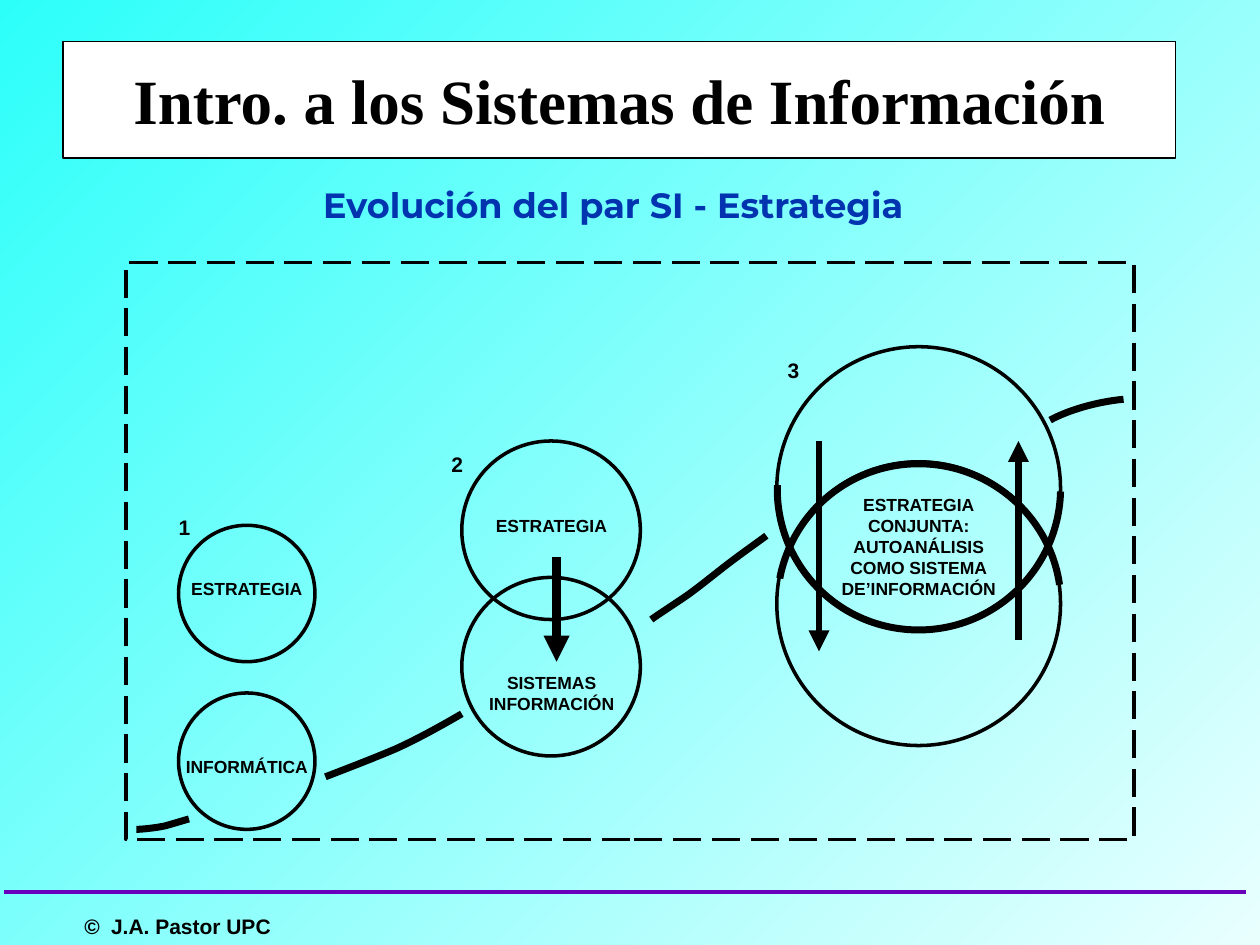
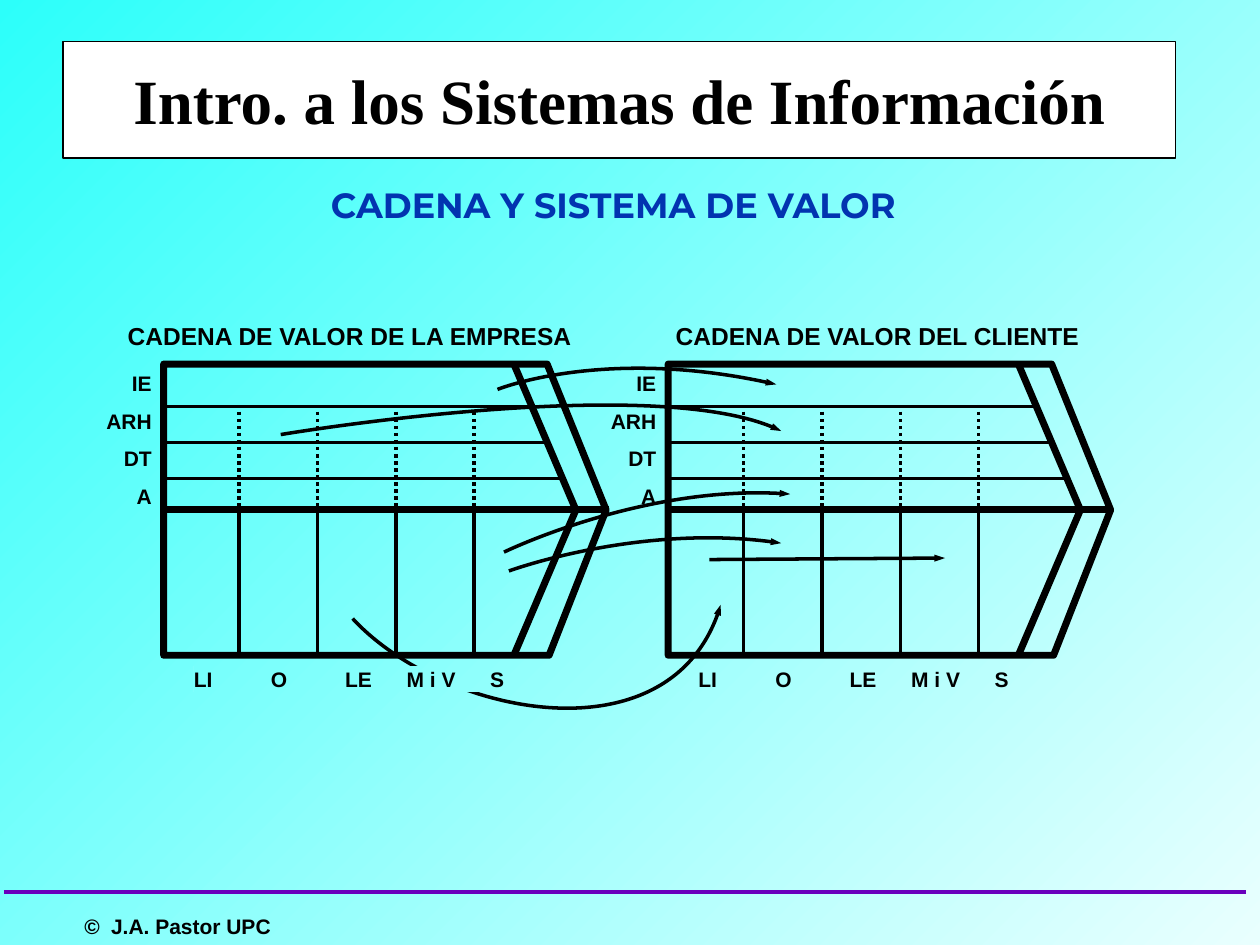
from lxml.etree import SubElement
from pptx import Presentation
from pptx.dml.color import RGBColor
from pptx.enum.dml import MSO_LINE
from pptx.enum.shapes import MSO_CONNECTOR, MSO_SHAPE
from pptx.enum.text import MSO_ANCHOR, PP_ALIGN
from pptx.oxml.ns import qn
from pptx.util import Cm, Pt

BLACK, WHITE, BLUE, PURPLE = "000000", "FFFFFF", "0234B0", "6900BC"
PALE, CYAN = "E9FFFE", "2CFFFA"
LEFT, CENTER, RIGHT = PP_ALIGN.LEFT, PP_ALIGN.CENTER, PP_ALIGN.RIGHT


def color(hex_code):
    return RGBColor.from_string(hex_code)


def style_line(shape, width, hex_code=BLACK, dash=None, arrow=None):
    """Set the outline; arrow is the width of the end's head: sm or med."""
    shape.line.color.rgb = color(hex_code)
    shape.line.width = Pt(width)
    if dash:
        shape.line.dash_style = dash
    if arrow:
        outline = shape.element.spPr.find(qn("a:ln"))
        SubElement(outline, qn("a:tailEnd"), type="triangle", w=arrow, len="med")


def write(frame, text, size=12, font="Arial", hex_code=BLACK, align=LEFT,
          anchor=MSO_ANCHOR.MIDDLE, margins=(0, 0), wrap=True, spacing=None,
          tabs=()):
    """Fill a text frame, one paragraph for each line of text."""
    frame.word_wrap = wrap
    frame.vertical_anchor = anchor
    frame.margin_left = frame.margin_right = Cm(margins[0])
    frame.margin_top = frame.margin_bottom = Cm(margins[1])
    for index, line in enumerate(text.split("\n")):
        para = frame.add_paragraph() if index else frame.paragraphs[0]
        para.alignment = align
        if spacing:
            para.line_spacing = spacing
        if tabs:
            stops = SubElement(para._p.get_or_add_pPr(), qn("a:tabLst"))
            for stop in tabs:
                SubElement(stops, qn("a:tab"), pos=str(Cm(stop)), algn="l")
        span = para.add_run()
        span.text = line
        span.font.size = Pt(size)
        span.font.name = font
        span.font.bold = True
        span.font.color.rgb = color(hex_code)


def add_text(page, text, left, top, width, height, **text_format):
    box = page.shapes.add_textbox(Cm(left), Cm(top), Cm(width), Cm(height))
    write(box.text_frame, text, **text_format)
    return box


def add_outline(page, kind, left, top, width, height, fill=None, weight=2, dash=None):
    shape = page.shapes.add_shape(kind, Cm(left), Cm(top), Cm(width), Cm(height))
    shape.shadow.inherit = False
    if fill:
        shape.fill.solid()
        shape.fill.fore_color.rgb = color(fill)
    else:
        shape.fill.background()
    style_line(shape, weight, dash=dash)
    return shape


def add_circle(page, left, top, diameter):
    add_outline(page, MSO_SHAPE.OVAL, left, top, diameter, diameter)


def add_line(page, x1, y1, x2, y2, width=2, **line_format):
    line = page.shapes.add_connector(
        MSO_CONNECTOR.STRAIGHT, Cm(x1), Cm(y1), Cm(x2), Cm(y2))
    style_line(line, width, **line_format)
    SubElement(line.element.spPr, qn("a:effectLst"))


def add_polyline(page, points, width, close=False, **line_format):
    """Draw an unfilled outline through points given in centimetres."""
    (start_x, start_y), *rest = [(Cm(x), Cm(y)) for x, y in points]
    builder = page.shapes.build_freeform(start_x, start_y)
    builder.add_line_segments(rest, close=close)
    shape = builder.convert_to_shape()
    shape.shadow.inherit = False
    shape.fill.background()
    style_line(shape, width, **line_format)
    return shape


def bezier_point(t, controls):
    weights = ((1 - t) ** 3, 3 * t * (1 - t) ** 2, 3 * t * t * (1 - t), t ** 3)
    return tuple(sum(w * point[axis] for w, point in zip(weights, controls))
                 for axis in (0, 1))


def add_curve(page, points, width, **line_format):
    """Draw cubic curves: a start, then two controls and an end for each."""
    bends = [points[i:i + 4] for i in range(0, len(points) - 1, 3)]
    samples = [bezier_point(step / 20, bend) for bend in bends for step in range(21)]
    shape = add_polyline(page, samples, width, **line_format)
    # The samples gave the exact bounds; true curves now replace their segments.
    track = shape.element.spPr.find(".//" + qn("a:path"))
    for segment in track.findall(qn("a:lnTo")):
        track.remove(segment)
    for bend in bends:
        curve = SubElement(track, qn("a:cubicBezTo"))
        for x, y in bend[1:]:
            SubElement(curve, qn("a:pt"), x=str(Cm(x) - shape.left),
                       y=str(Cm(y) - shape.top))


def add_page(deck, title):
    """Add a page with the background, banner, title and footer."""
    page = deck.slides.add_slide(deck.slide_layouts[6])
    fill = page.background.fill
    fill.gradient()
    fill.gradient_angle = 135
    for stop, hex_code in zip(fill.gradient_stops, (PALE, CYAN)):
        stop.color.rgb = color(hex_code)
    inset = (0.25, 0.13)
    add_line(page, 0.08, 17.98, 25.12, 17.98, hex_code=PURPLE)
    add_text(page, "©\tJ.A. Pastor UPC", 1.45, 18.29, 4.37, 0.76,
             anchor=MSO_ANCHOR.TOP, margins=inset, wrap=False, tabs=[0.54])
    banner = add_outline(page, MSO_SHAPE.RECTANGLE, 1.27, 0.84, 22.43, 2.34,
                         fill=WHITE, weight=1)
    write(banner.text_frame, "Intro. a los Sistemas de Información", size=36,
          font="Times New Roman", align=CENTER, margins=inset, wrap=False)
    add_text(page, title, 1.47, 3.59, 21.79, 1.07, size=20, font="Montserrat",
             hex_code=BLUE, align=CENTER, margins=inset)
    return page


def add_evolution(page):
    add_outline(page, MSO_SHAPE.RECTANGLE, 2.54, 5.29, 20.32, 11.64,
                dash=MSO_LINE.LONG_DASH)
    for left, diameter, tops in ((3.6, 2.75, (10.59, 13.97)),
                                 (9.31, 3.6, (8.89, 11.64)),
                                 (15.66, 5.72, (6.99, 9.31))):
        for top in tops:
            add_circle(page, left, top, diameter)
    for x, start, end, width in ((11.22, 11.22, 13.34, 5),
                                 (20.53, 12.9, 8.89, 4),
                                 (16.51, 8.89, 13.13, 4)):
        add_line(page, x, start, x, end, width, arrow="med")

    for number, left, top in (("1", 3.6, 10.37), ("2", 9.1, 9.1), ("3", 15.88, 7.2)):
        add_text(page, number, left, top, 0.21, 0.51)
    for text, left, top, width, height in (
            ("ESTRATEGIA", 3.6, 11.64, 2.75, 0.43),
            ("INFORMÁTICA", 3.6, 15.24, 2.75, 0.43),
            ("SISTEMAS\nINFORMACIÓN", 9.53, 13.55, 3.18, 0.85),
            ("ESTRATEGIA", 9.74, 10.37, 2.75, 0.43),
            ("ESTRATEGIA\nCONJUNTA:\nAUTOANÁLISIS\nCOMO SISTEMA\nDE’INFORMACIÓN",
             15.88, 9.96, 5.28, 2.13)):
        add_text(page, text, left, top, width, height, size=10, align=CENTER)

    trend = (
        [(2.75, 16.72), (2.84, 16.72), (3.15, 16.69), (3.33, 16.65),
         (3.51, 16.6), (3.7, 16.54), (3.81, 16.51)],
        [(6.56, 15.66), (6.82, 15.56), (7.5, 15.3), (7.97, 15.1),
         (8.44, 14.89), (9.04, 14.55), (9.31, 14.39)],
        [(13.13, 12.49), (13.25, 12.4), (13.61, 12.17), (13.87, 11.99),
         (14.12, 11.81), (14.4, 11.58), (14.66, 11.38),
         (14.92, 11.18), (15.29, 10.92), (15.45, 10.8)],
        [(21.17, 8.47), (21.51, 8.28), (22.1, 8.1), (22.65, 8.05)],
    )
    overlap_arcs = (
        [(15.72, 11.66), (15.98, 10.31), (17.15, 9.35), (18.52, 9.35),
         (19.94, 9.35), (21.16, 10.39), (21.36, 11.79)],
        [(21.38, 9.91), (21.34, 11.46), (20.07, 12.7), (18.52, 12.7),
         (16.94, 12.7), (15.67, 11.43), (15.67, 9.86),
         (15.67, 9.83), (15.67, 9.8), (15.67, 9.78)],
    )
    for points in trend + overlap_arcs:
        add_curve(page, points, 4)


def add_value_chain(page, left):
    """Draw one value chain whose outline starts at left."""
    top, middle, bottom = 7.34, 10.28, 13.21
    tip_start, tip_end = 7.06, 8.31

    def shift(points):
        return [(left + x, y) for x, y in points]

    add_polyline(page, shift([(0, bottom), (7.77, bottom), (8.92, middle),
                              (7.73, top), (0, top)]), 4, close=True)
    add_polyline(page, shift([(tip_start, top), (tip_end, middle),
                              (tip_start, bottom)]), 4)
    for y in (8.2, 8.92, 9.65):
        reach = tip_start + (tip_end - tip_start) * (y - top) / (middle - top)
        add_line(page, left, y, left + reach, y)
    for column in range(4):
        x = left + 1.52 + 1.58 * column
        add_line(page, x, 8.3, x, middle, dash=MSO_LINE.ROUND_DOT)
        add_line(page, x, middle, x, bottom)
    add_line(page, left, middle, left + 8.97, middle, 4)
    add_text(page, "IE\nARH\nDT\nA", left - 1.74, 7.21, 1.5, 3.05,
             align=RIGHT, spacing=1.5)


def add_activity_labels(page, chain_left):
    """Name the columns on a strip that shows the page background."""
    strip = add_text(page, "LI\tO\tLE\tM i V\tS", chain_left + 0.61, 13.44, 6.27, 0.51,
                     wrap=False, tabs=[1.55, 3.05, 4.29, 5.97])
    properties = strip.element.spPr
    properties.remove(properties.find(qn("a:noFill")))
    strip.element.set("useBgFill", "1")


def add_link(page, start, first, second, end):
    add_curve(page, [start, first, second, end], 2, arrow="sm")


def add_value_system(page):
    company, client = 3.3, 13.47
    for left in (company, client):
        add_value_chain(page, left)
    add_activity_labels(page, client)
    for text, left, width in (("CADENA DE VALOR DE LA EMPRESA", 2.54, 9.02),
                              ("CADENA DE VALOR DEL CLIENTE", 13.59, 8.2)):
        add_text(page, text, left, 6.48, width, 0.58, size=14, align=CENTER, wrap=False)
    add_link(page, (7.11, 12.47), (8.89, 14.4), (13.59, 15.39), (14.53, 12.19))
    add_activity_labels(page, company)
    for start, bend, end in (((10.03, 7.85), (12.22, 6.96), (15.65, 7.75)),
                             ((5.66, 8.76), (13.31, 7.47), (15.75, 8.69)),
                             ((10.16, 11.13), (13.03, 9.73), (15.93, 9.96)),
                             ((10.26, 11.51), (12.95, 10.52), (15.75, 10.95))):
        add_link(page, start, start, bend, end)
    add_line(page, 14.3, 11.28, 19.05, 11.25, arrow="sm")


def main():
    deck = Presentation()
    deck.slide_width, deck.slide_height = Cm(25.4), Cm(19.05)
    add_evolution(add_page(deck, "Evolución del par SI - Estrategia"))
    add_value_system(add_page(deck, "CADENA Y SISTEMA DE VALOR"))
    deck.save("out.pptx")


if __name__ == "__main__":
    main()
